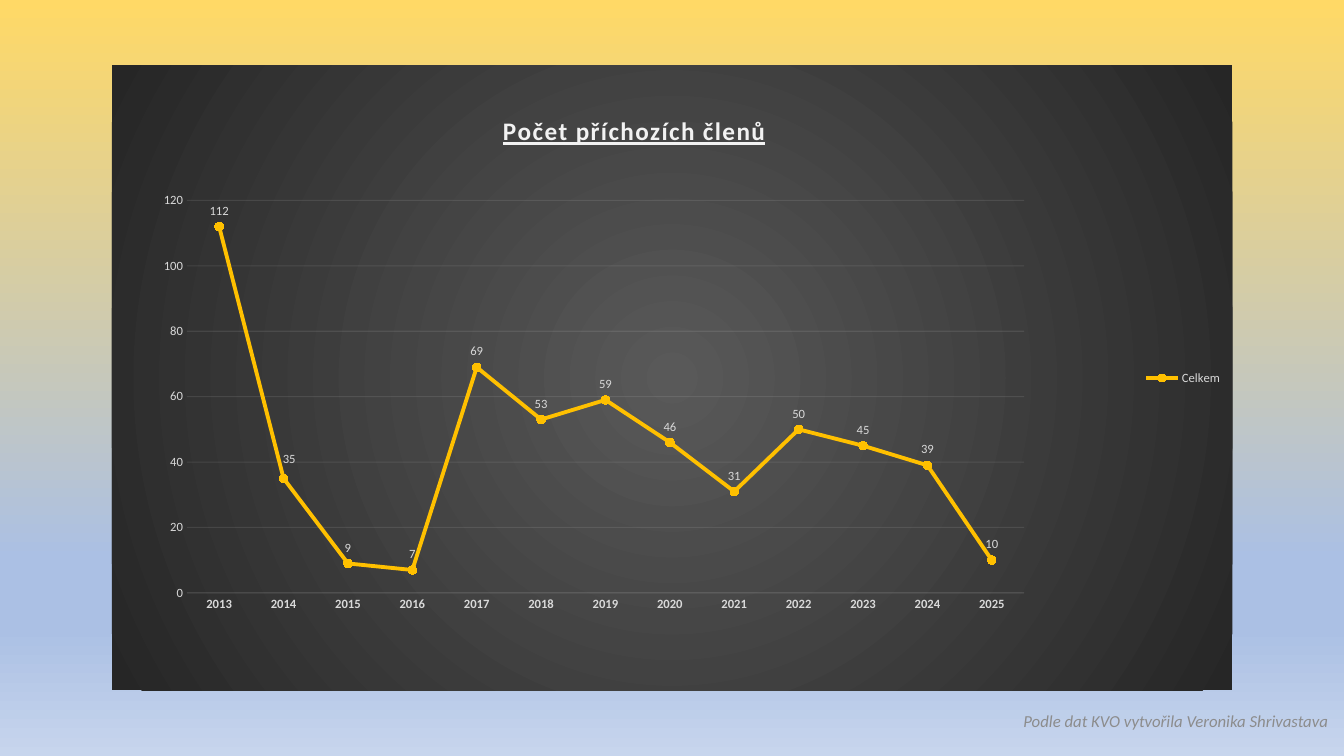
from lxml import etree
from pptx import Presentation
from pptx.chart.data import CategoryChartData
from pptx.dml.color import RGBColor
from pptx.enum import chart as ch, text
from pptx.oxml import ns, parse_xml
from pptx.util import Cm, Pt

GOLD = RGBColor(0xFF, 0xC0, 0x00)
LIGHT = RGBColor(0xD9, 0xD9, 0xD9)
WHITE = RGBColor(0xF2, 0xF2, 0xF2)
GREY = RGBColor(0x8C, 0x8C, 0x8C)
SKY = RGBColor(0xAB, 0xC0, 0xE4)
BACKGROUND = [(0, RGBColor(0xFF, 0xD9, 0x66)), (74, SKY), (83, SKY),
              (100, RGBColor(0xC7, 0xD5, 0xED))]
PANEL = [(0, RGBColor(0x59, 0x59, 0x59)), (100, RGBColor(0x26, 0x26, 0x26))]
FONT = "Calibri"


def write(tf, words, size, color, align, bold=False, italic=False, underline=False, spacing=0):
    p = tf.paragraphs[0]
    p.alignment = align
    r = p.add_run()
    r.text = words
    f = r.font
    f.name, f.size, f.color.rgb = FONT, Pt(size), color
    f.bold, f.italic, f.underline = bold, italic, underline
    r._r.get_or_add_rPr().set("spc", str(spacing))


def gradient(stops, direction):
    gs = "".join(f'<a:gs pos="{pos * 1000}"><a:srgbClr val="{color}"/></a:gs>'
                 for pos, color in stops)
    return parse_xml(f'<a:gradFill {ns.nsdecls("a")} rotWithShape="1">'
                     f'<a:gsLst>{gs}</a:gsLst>{direction}</a:gradFill>')


prs = Presentation()
prs.slide_width, prs.slide_height = Cm(33.87), Cm(19.05)
s = prs.slides.add_slide(prs.slide_layouts[6])

# Background
s.background.fill.solid()
solid = s.element.find(".//" + ns.qn("p:bgPr")).find(ns.qn("a:solidFill"))
solid.getparent().replace(solid, gradient(BACKGROUND, '<a:lin ang="5400000" scaled="0"/>'))

# Line chart
data = CategoryChartData()
data.categories = [str(year) for year in range(2013, 2026)]
data.add_series("Celkem", [112, 35, 9, 7, 69, 53, 59, 46, 31, 50, 45, 39, 10])
chart = s.shapes.add_chart(ch.XL_CHART_TYPE.LINE_MARKERS, Cm(2.82), Cm(1.65),
                           Cm(28.24), Cm(15.75), data).chart
chart.font.name, chart.font.size = FONT, Pt(10)
plot = chart.plots[0]
plot.vary_by_categories = False

# Dark panel behind the plot
panel = parse_xml(f'<c:spPr {ns.nsdecls("c", "a")}/>')
panel.append(gradient(PANEL, '<a:path path="circle"><a:fillToRect l="50000" t="50000" '
                             'r="50000" b="50000"/></a:path>'))
etree.SubElement(etree.SubElement(panel, ns.qn("a:ln")), ns.qn("a:noFill"))
chart.element.find(ns.qn("c:chart")).addnext(panel)

# Title and legend
chart.has_title = True
write(chart.chart_title.text_frame, "Počet příchozích členů", 18, WHITE,
      text.PP_ALIGN.CENTER, bold=True, underline=True, spacing=100)
chart.has_legend = True
chart.legend.position = ch.XL_LEGEND_POSITION.RIGHT
chart.legend.include_in_layout = False

# Axes
years, counts = chart.category_axis, chart.value_axis
counts.minimum_scale, counts.maximum_scale, counts.major_unit = 0, 120, 20
counts.format.line.fill.background()
for axis in (years, counts):
    axis.major_tick_mark = axis.minor_tick_mark = ch.XL_TICK_MARK.NONE
years.tick_labels.font.bold = True
for line in (years.format.line, counts.major_gridlines.format.line):
    line.width = Pt(0.75)
    line.color.rgb = WHITE
    etree.SubElement(line.fill._xPr.find(".//" + ns.qn("a:srgbClr")),
                     ns.qn("a:alpha"), val="10000")

# Series and labels
total = plot.series[0]
total.smooth = False
total.format.line.color.rgb = GOLD
total.format.line.width = Pt(2.75)
marker = total.marker
marker.style, marker.size = ch.XL_MARKER_STYLE.CIRCLE, 6
marker.format.fill.solid()
marker.format.fill.fore_color.rgb = GOLD
marker.format.line.color.rgb = GOLD
labels = total.data_labels
labels.show_value = True
label_2014 = total.points[1].data_label
for label in (labels, label_2014):
    label.position = ch.XL_LABEL_POSITION.ABOVE

for f in (years.tick_labels.font, counts.tick_labels.font, chart.legend.font,
          labels.font, label_2014.font):
    f.name, f.size, f.color.rgb = FONT, Pt(9), LIGHT

# Manual places of the plot, the title and the 2014 label
root = chart.element
edge = [("layoutTarget", "inner"), ("xMode", "edge"), ("yMode", "edge")]
for tag, index, values in (
        ("c:plotArea", 0, edge + [("x", 0.067), ("y", 0.216), ("w", 0.747), ("h", 0.628)]),
        ("c:title", 1, edge[1:] + [("x", 0.345), ("y", 0.07)]),
        ("c:dLbl", 1, [("x", 0.005), ("y", -0.005)])):
    part = root.find(".//" + ns.qn(tag))
    for old in part.findall(ns.qn("c:layout")):
        part.remove(old)
    items = "".join(f'<c:{name} val="{value}"/>' for name, value in values)
    part.insert(index, parse_xml(f'<c:layout {ns.nsdecls("c")}><c:manualLayout>{items}'
                                 '</c:manualLayout></c:layout>'))

# Credit line
tf = s.shapes.add_textbox(Cm(22.3), Cm(17.65), Cm(11.43), Cm(1.02)).text_frame
tf.word_wrap = True
tf.vertical_anchor = text.MSO_ANCHOR.MIDDLE
write(tf, "Podle dat KVO vytvořila Veronika Shrivastava", 12, GREY,
      text.PP_ALIGN.RIGHT, italic=True)

prs.save("out.pptx")
